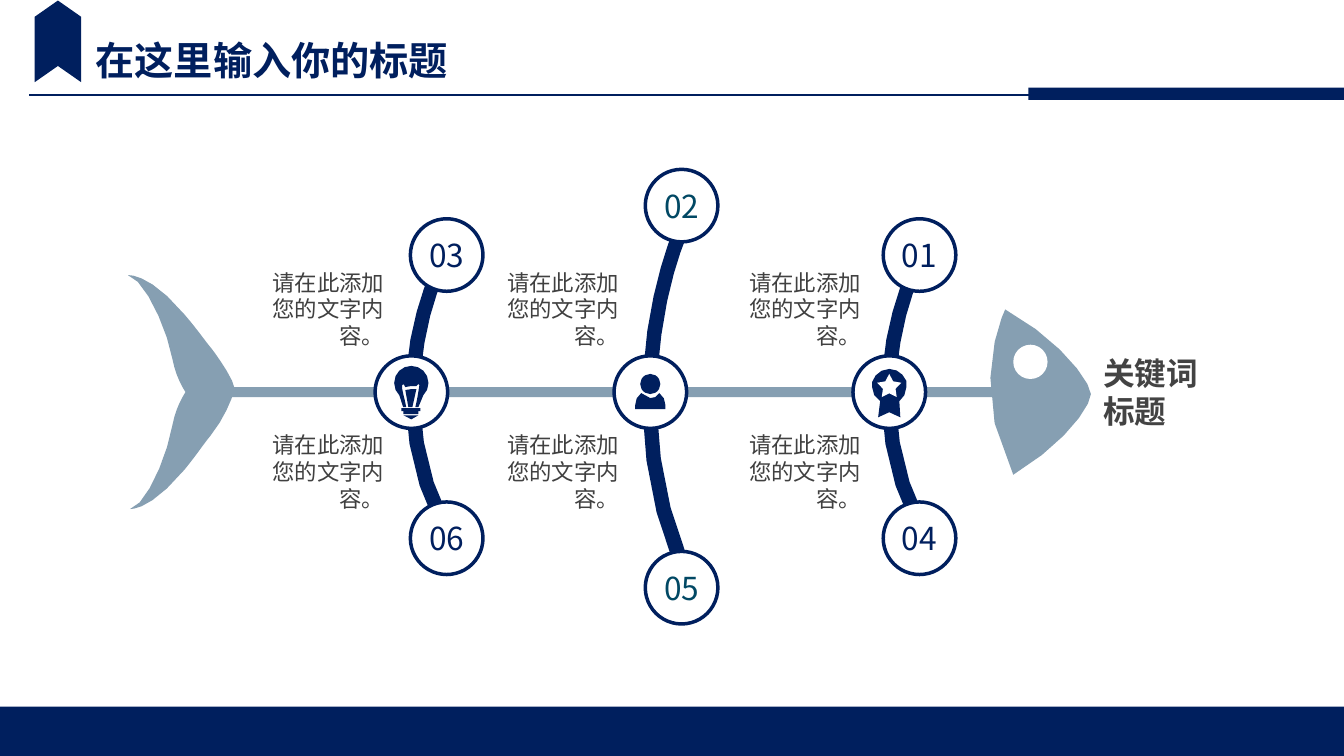
import math

import pptx
import pptx.util
import pptx.dml.color
import pptx.enum.shapes
import pptx.enum.text
import pptx.oxml.ns
from lxml import etree

PX = 9144  # one px is a hundredth of an inch
NAVY, STEEL, WHITE, GREY, DARK, TEAL = "001F5E", "869FB2", "FFFFFF", "404040", "434343", "014864"
FONT = "Noto Sans CJK SC"
SHAPES = pptx.enum.shapes.MSO_SHAPE
ALIGN = pptx.enum.text.PP_ALIGN
MIDDLE = pptx.enum.text.MSO_ANCHOR.MIDDLE
colour = pptx.dml.color.RGBColor.from_string

deck = pptx.Presentation()
deck.slide_width, deck.slide_height = 1333 * PX, 750 * PX
page = deck.slides.add_slide(deck.slide_layouts[6])


def draw(figure, fill, left=0, top=0, width=1, height=1):
    """Add a preset, or an outline of points and cubic curves stretched by width and height."""
    if isinstance(figure, list):
        points = [figure[0]]
        for step in figure[1:]:
            if len(step) == 2:
                points.append(step)
                continue
            curve = [points[-1], step[0:2], step[2:4], step[4:6]]
            count = max(1, min(5, int(math.dist(curve[0], curve[3]) // 6)))
            for t in (i / count for i in range(1, count + 1)):
                weights = ((1 - t) ** 3, 3 * t * (1 - t) ** 2, 3 * t * t * (1 - t), t ** 3)
                points.append(tuple(sum(w * p[axis] for w, p in zip(weights, curve)) for axis in (0, 1)))
        points = [((left + x * width) * PX, (top + y * height) * PX) for x, y in points]
        builder = page.shapes.build_freeform(*points[0], scale=1.0)
        builder.add_line_segments(points[1:], close=True)
        shape = builder.convert_to_shape()
    else:
        shape = page.shapes.add_shape(figure, left * PX, top * PX, width * PX, height * PX)
    shape.shadow.inherit = False
    shape.fill.solid()
    shape.fill.fore_color.rgb = colour(fill)
    shape.line.fill.background()
    return shape


def write(box, text, size, ink, align=ALIGN.LEFT, inset=13, wrap=True, bold=False):
    frame = box.text_frame
    frame.text = text
    frame.word_wrap = wrap
    frame.vertical_anchor = MIDDLE
    frame.margin_left = frame.margin_right = frame.margin_top = frame.margin_bottom = inset * PX
    para = frame.paragraphs[0]
    para.alignment = align
    font = para.runs[0].font
    font.name, font.size, font.bold = FONT, pptx.util.Pt(size), bold
    font.color.rgb = colour(ink)
    east = etree.SubElement(para.runs[0]._r.rPr, pptx.oxml.ns.qn("a:ea"))
    east.set("typeface", FONT)


# Header and footer
draw(SHAPES.RECTANGLE, NAVY, 0, 701, 1333, 49)
rule = page.shapes.add_connector(
    pptx.enum.shapes.MSO_CONNECTOR.STRAIGHT, 29 * PX, 94 * PX, 1152 * PX, 94 * PX)
rule.line.color.rgb = colour(NAVY)
rule.line.width = pptx.util.Pt(1.5)
etree.SubElement(rule._element.spPr, pptx.oxml.ns.qn("a:effectLst"))
draw(SHAPES.RECTANGLE, NAVY, 1020, 87, 313, 12)
title = page.shapes.add_textbox(85 * PX, 31 * PX, 374 * PX, 57 * PX)
write(title, "在这里输入你的标题", 28, NAVY, inset=10, wrap=False, bold=True)
title.text_frame.margin_top = title.text_frame.margin_bottom = 5 * PX
ribbon = draw(SHAPES.CHEVRON, NAVY, 17, 18, 81, 46)
ribbon.rotation = 270
ribbon.adjustments[0] = 0.35

# Fish head with eye, tail and spine
draw([(997, 307), (997, 307, 959, 382, 1005, 471), (1058, 439, 1082, 402, 1082, 391),
      (1082, 380, 1053, 338, 997, 307)], STEEL)
draw(SHAPES.OVAL, WHITE, 1005, 342, 34, 34)
draw([(128, 273), (127, 273), (142, 276, 165, 323, 171, 356),
      (174, 371, 179, 381, 184, 389), (179, 397, 174, 407, 171, 422),
      (165, 456, 144, 502, 129, 505), (133, 505, 151, 504, 183, 466),
      (196, 450, 203, 439, 209, 432), (226, 411, 233, 386, 233, 386),
      (231, 374, 213, 350, 210, 346), (204, 339, 196, 327, 183, 312),
      (152, 275, 132, 273, 128, 273)], STEEL)
draw(SHAPES.RECTANGLE, STEEL, 211, 384, 800, 10)
keyword = page.shapes.add_textbox(1081 * PX, 365 * PX, 139 * PX, 48 * PX)
write(keyword, "关键词标题", 22.6, DARK, bold=True)

# Ribs: hub centre, number centre, rib left, text left, rise of the number, rib growth, labels, ink
HUB_Y, RING = 389, 72
RIB_TOP, RIB_HEIGHT = 250, 279
rib = [(43, 0), (41, 0, 39, 1, 37, 4), (37, 5, 19, 37, 10, 87), (2, 133, 0, 202, 37, 275),
       (38, 278, 41, 279, 43, 279), (45, 279, 46, 279, 47, 278), (50, 276, 51, 272, 50, 269),
       (15, 200, 16, 133, 24, 90), (32, 42, 49, 11, 50, 10), (51, 7, 50, 3, 47, 1),
       (46, 0, 45, 0, 43, 0)]
columns = [
    (408, 443, 397, 253, 0, 0, "03", "06", NAVY),
    (645, 676, 632, 486, 49, 68, "02", "05", TEAL),
    (882, 912, 869, 726, 0, 0, "01", "04", NAVY),
]
for hub_x, number_x, rib_x, text_x, rise, growth, upper, lower, ink in columns:
    draw(rib, NAVY, rib_x, RIB_TOP - growth * 30 // 68, 1, 1 + growth / RIB_HEIGHT)
    for x, y, label in ((number_x, 253 - rise, upper), (number_x, 534 + rise, lower),
                        (hub_x, HUB_Y, "")):
        ring = draw(SHAPES.OVAL, WHITE, x - RING // 2, y - RING // 2, RING, RING)
        ring.line.color.rgb = colour(NAVY)
        ring.line.width = pptx.util.Pt(2.5)
        if label:
            write(ring, label, 22.6, ink, ALIGN.CENTER, inset=0, wrap=False)
    for text_y in (263, 424):
        caption = page.shapes.add_textbox(text_x * PX, text_y * PX, 141 * PX, 87 * PX)
        write(caption, "请在此添加您的文字内容。", 16, GREY, ALIGN.RIGHT)

# Light bulb
draw(SHAPES.RECTANGLE, NAVY, 398, 405, 19, 3)
draw(SHAPES.RECTANGLE, NAVY, 400, 408, 15, 3)
draw([(400, 412), (400, 412, 401, 416, 408, 416), (415, 416, 415, 412, 415, 412)], NAVY)
draw([(408, 363), (399, 363, 391, 370, 391, 380), (391, 385, 393, 389, 396, 392), (400, 404),
      (403, 404), (402, 398, 400, 392, 399, 386), (399, 382), (400, 381), (401, 382),
      (402, 384), (404, 383, 406, 383, 408, 383), (413, 383), (414, 382), (415, 381),
      (416, 382), (415, 389, 414, 396, 412, 404), (415, 404), (420, 392),
      (423, 389, 425, 385, 425, 380), (425, 370, 417, 363, 408, 363)], NAVY)
draw([(408, 386), (402, 387), (405, 404), (409, 404), (413, 386)], NAVY)

# Person
draw(SHAPES.OVAL, NAVY, 635, 371, 20, 20)
draw([(636, 390), (632, 393, 630, 397, 630, 402), (630, 406), (660, 406), (660, 402),
      (660, 397, 658, 393, 654, 390), (651, 393), (650, 394), (645, 395),
      (641, 395, 638, 393, 636, 390)], NAVY)

# Award badge
draw([(882, 366), (874, 366, 867, 372, 865, 379), (865, 384),
      (865, 390, 868, 395, 873, 398), (871, 414), (882, 409), (893, 414), (892, 398),
      (896, 395, 899, 390, 899, 384), (899, 378),
      (896, 371, 890, 366, 882, 366)], NAVY)
star = draw(SHAPES.STAR_5_POINT, WHITE, 870, 371, 24, 23)
star.adjustments[0] = 0.26

deck.save("out.pptx")
